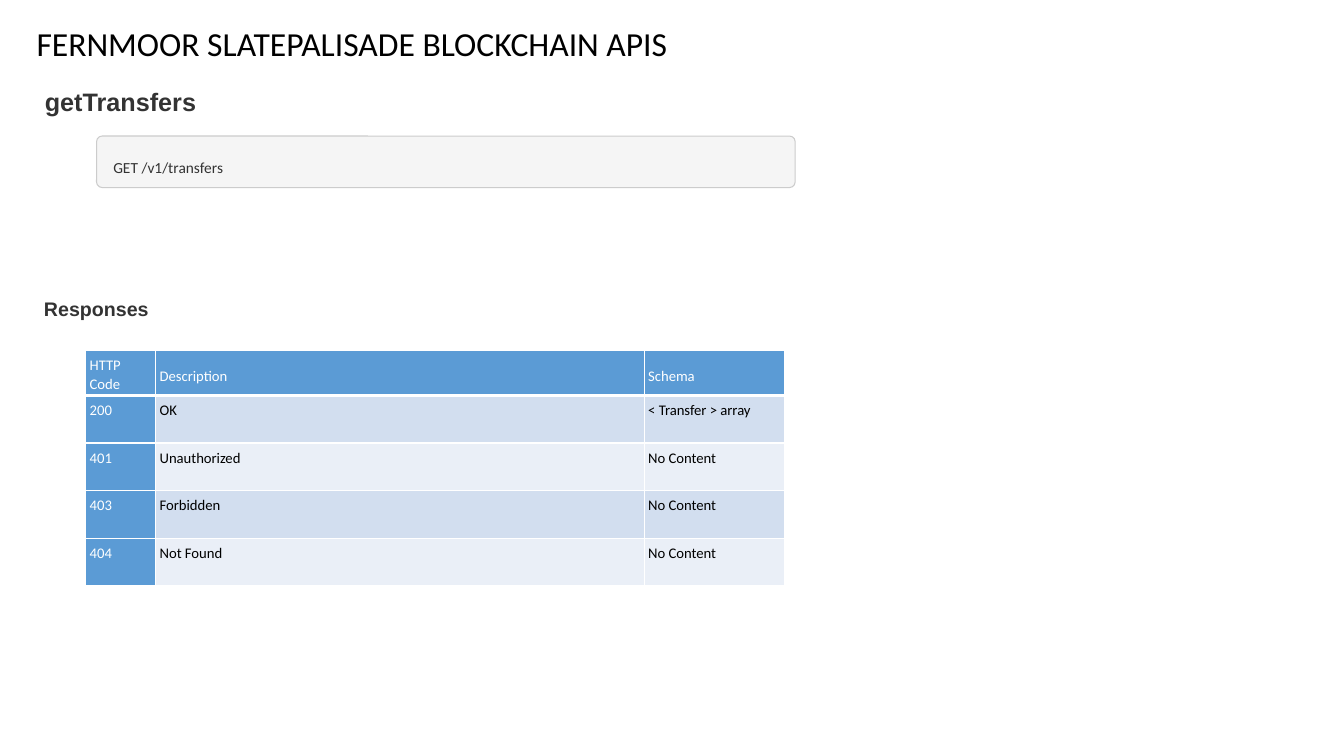
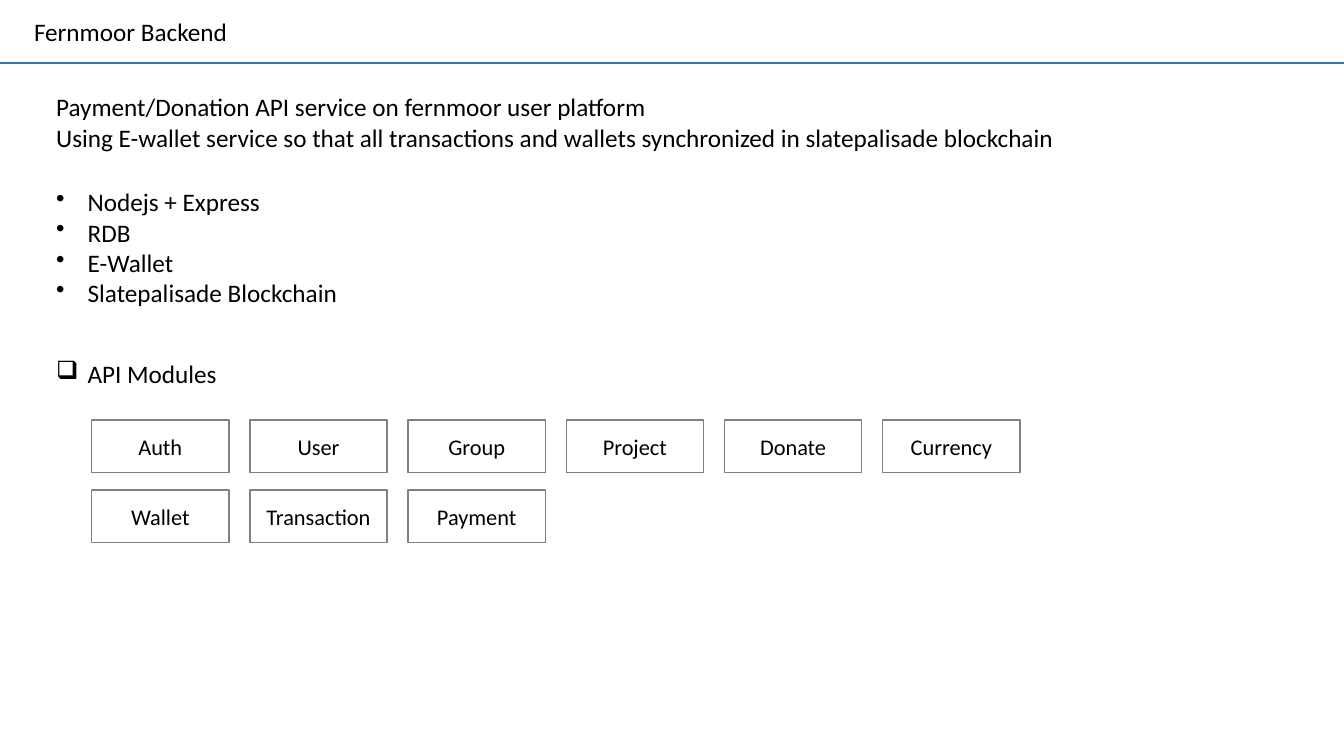
from lxml import etree
from pptx import Presentation
from pptx.dml.color import RGBColor
from pptx.enum.shapes import MSO_CONNECTOR, MSO_SHAPE
from pptx.enum.text import MSO_ANCHOR, PP_ALIGN
from pptx.oxml.ns import qn
from pptx.util import Pt

RECTANGLE = MSO_SHAPE.RECTANGLE
ROUNDED = MSO_SHAPE.ROUNDED_RECTANGLE
STRAIGHT = MSO_CONNECTOR.STRAIGHT
TOP, MIDDLE = MSO_ANCHOR.TOP, MSO_ANCHOR.MIDDLE
LEFT, CENTER = PP_ALIGN.LEFT, PP_ALIGN.CENTER

COLORS = {
    "text": "000000",
    "heading": "333333",
    "white": "FFFFFF",
    "code_fill": "F5F5F5",
    "code_line": "CCCCCC",
    "table_key": "5B9BD5",
    "band_dark": "D2DEEF",
    "band_light": "EAEFF7",
    "rule": "2E75B6",
    "module_line": "808080",
}
BODY_FONT, HEADING_FONT = "Calibri", "Arial"
SLIDE_WIDTH, SLIDE_HEIGHT = 960, 540
BULLET_INDENT = 22.5
LINE_SPACING = 1.07

API_TITLE = "FERNMOOR SLATEPALISADE BLOCKCHAIN APIS"
ENDPOINT_NAME = "getTransfers"
ENDPOINT_CALL = "GET /v1/transfers"
RESPONSES = [
    ("HTTP Code", "Description", "Schema"),
    ("200", "OK", "< Transfer > array"),
    ("401", "Unauthorized", "No Content"),
    ("403", "Forbidden", "No Content"),
    ("404", "Not Found", "No Content"),
]
COLUMN_WIDTHS = (50, 349, 100)
HEADER_HEIGHT, ROW_HEIGHT = 32, 34

BACKEND_TITLE = "Fernmoor Backend"
SUMMARY = [
    "Payment/Donation API service on fernmoor user platform",
    "Using E-wallet service so that all transactions and wallets "
    "synchronized in slatepalisade blockchain",
]
STACK = ["Nodejs + Express", "RDB", "E-Wallet", "Slatepalisade Blockchain"]
MODULES = ["Auth", "User", "Group", "Project", "Donate", "Currency",
           "Wallet", "Transaction", "Payment"]
MODULE_COLUMNS = 6
MODULE_LEFT, MODULE_TOP = 65.5, 300
MODULE_WIDTH, MODULE_HEIGHT = 98, 37.5
MODULE_PITCH_X, MODULE_PITCH_Y = 113, 50


def rgb(name):
    return RGBColor.from_string(COLORS[name])


def add_run(paragraph, text, size, color="text", font=BODY_FONT, bold=False):
    run = paragraph.add_run()
    run.text = text
    run.font.size = Pt(size)
    run.font.name = font
    run.font.bold = bold
    run.font.color.rgb = rgb(color)


def add_bullet(paragraph, character):
    properties = paragraph._p.get_or_add_pPr()
    properties.set("marL", str(Pt(BULLET_INDENT)))
    properties.set("indent", str(-Pt(BULLET_INDENT)))
    etree.SubElement(properties, qn("a:buChar")).set("char", character)


def add_text(slide, box, lines, size, bullet=None, **style):
    frame = slide.shapes.add_textbox(*map(Pt, box)).text_frame
    frame.word_wrap = True
    for index, line in enumerate(lines):
        paragraph = frame.add_paragraph() if index else frame.paragraphs[0]
        if bullet:
            add_bullet(paragraph, bullet)
        add_run(paragraph, line, size, **style)


def add_box(slide, kind, box, fill, line, line_width):
    shape = slide.shapes.add_shape(kind, *map(Pt, box))
    shape.shadow.inherit = False
    shape.fill.solid()
    shape.fill.fore_color.rgb = rgb(fill)
    shape.line.color.rgb = rgb(line)
    shape.line.width = Pt(line_width)
    return shape


def add_code_box(slide, box, code):
    shape = add_box(slide, ROUNDED, box, "code_fill", "code_line", 0.75)
    shape.adjustments[0] = 0.11
    frame = shape.text_frame
    frame.vertical_anchor = TOP
    frame.margin_left, frame.margin_top = Pt(10.8), Pt(13.7)
    frame.margin_right = frame.margin_bottom = 0
    paragraph = frame.paragraphs[0]
    paragraph.alignment = LEFT
    paragraph.line_spacing = LINE_SPACING
    add_run(paragraph, code, 11, "heading")


def add_cell_borders(cell, bottom_width):
    properties = cell._tc.get_or_add_tcPr()
    for side, width in (("L", 1), ("R", 1), ("T", 1), ("B", bottom_width)):
        line = etree.SubElement(properties, qn(f"a:ln{side}"), w=str(Pt(width)))
        fill = etree.SubElement(line, qn("a:solidFill"))
        etree.SubElement(fill, qn("a:srgbClr"), val=COLORS["white"])


def add_response_table(slide, left, top):
    heights = [HEADER_HEIGHT] + [ROW_HEIGHT] * (len(RESPONSES) - 1)
    table = slide.shapes.add_table(
        len(RESPONSES), len(COLUMN_WIDTHS), Pt(left), Pt(top),
        Pt(sum(COLUMN_WIDTHS)), Pt(sum(heights))).table
    table.first_row = table.horz_banding = False
    for column, width in zip(table.columns, COLUMN_WIDTHS):
        column.width = Pt(width)
    for row_index, (values, height) in enumerate(zip(RESPONSES, heights)):
        table.rows[row_index].height = Pt(height)
        band = "band_dark" if row_index % 2 else "band_light"
        for column_index, value in enumerate(values):
            is_header = row_index == 0
            is_key = is_header or column_index == 0
            cell = table.cell(row_index, column_index)
            add_cell_borders(cell, 3 if is_header else 1)
            cell.fill.solid()
            cell.fill.fore_color.rgb = rgb("table_key" if is_key else band)
            cell.margin_left, cell.margin_top = Pt(2.9), Pt(3.6)
            cell.margin_right, cell.margin_bottom = Pt(5.8), 0
            cell.vertical_anchor = MIDDLE if is_header and column_index else TOP
            paragraph = cell.text_frame.paragraphs[0]
            paragraph.line_spacing = LINE_SPACING
            add_run(paragraph, value, 10.5, "white" if is_key else "text")


def add_rule(slide, top):
    rule = slide.shapes.add_connector(STRAIGHT, 0, Pt(top), Pt(SLIDE_WIDTH), Pt(top))
    rule.line.color.rgb = rgb("rule")
    rule.line.width = Pt(1.5)
    etree.SubElement(rule._element.spPr, qn("a:effectLst"))


def add_modules(slide):
    for index, name in enumerate(MODULES):
        row, column = divmod(index, MODULE_COLUMNS)
        box = (MODULE_LEFT + column * MODULE_PITCH_X,
               MODULE_TOP + row * MODULE_PITCH_Y, MODULE_WIDTH, MODULE_HEIGHT)
        shape = add_box(slide, RECTANGLE, box, "white", "module_line", 1)
        shape.text_frame.vertical_anchor = MIDDLE
        paragraph = shape.text_frame.paragraphs[0]
        paragraph.alignment = CENTER
        add_run(paragraph, name, 16)


def build_api_slide(slide):
    heading = {"color": "heading", "font": HEADING_FONT, "bold": True}
    add_text(slide, (19, 13, 500, 36), [API_TITLE], 24)
    add_text(slide, (25, 58.3, 216, 30), [ENDPOINT_NAME], 18, **heading)
    add_text(slide, (24.3, 208.5, 110, 25), ["Responses"], 14, **heading)
    add_code_box(slide, (69, 97.2, 499, 36.8), ENDPOINT_CALL)
    add_response_table(slide, 61.2, 250.5)


def build_backend_slide(slide):
    add_rule(slide, 44.8)
    add_text(slide, (17.2, 8.2, 170, 29), [BACKEND_TITLE], 18)
    add_text(slide, (33, 62, 780, 51), SUMMARY, 18)
    add_text(slide, (33, 129.8, 250, 94.5), STACK, 18, bullet="•")
    add_text(slide, (33, 252.7, 150, 29), ["API Modules"], 18, bullet="❑")
    add_modules(slide)


def main():
    presentation = Presentation()
    presentation.slide_width = Pt(SLIDE_WIDTH)
    presentation.slide_height = Pt(SLIDE_HEIGHT)
    blank = presentation.slide_layouts[6]
    for build in (build_api_slide, build_backend_slide):
        build(presentation.slides.add_slide(blank))
    presentation.save("out.pptx")


if __name__ == "__main__":
    main()
